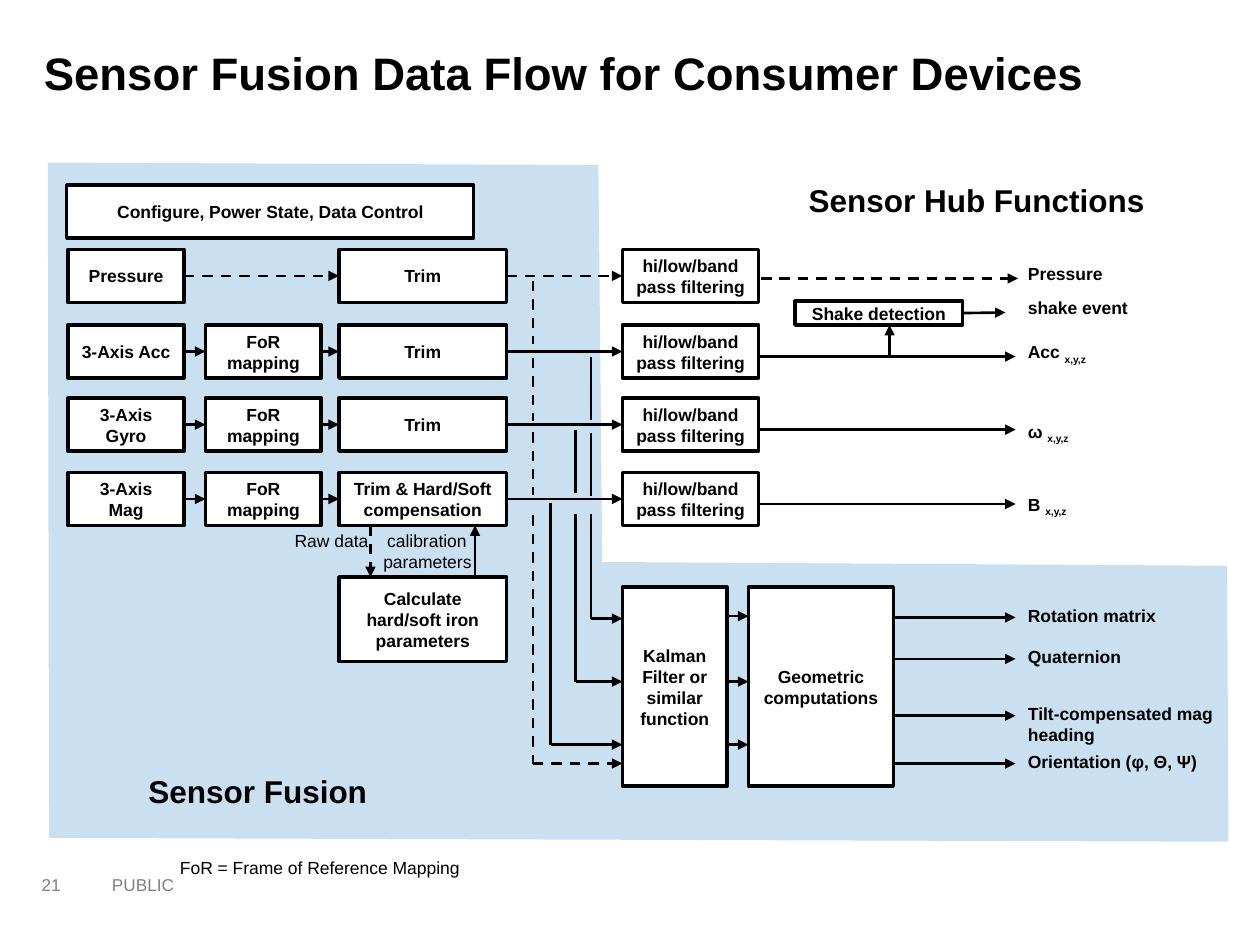
"""Build the sensor fusion data flow slide."""
import pptx
import pptx.dml.color
import pptx.enum.dml
import pptx.enum.shapes
import pptx.enum.text
import pptx.oxml.ns
import pptx.oxml.xmlchemy
import pptx.util
from pptx.util import Inches

COLORS = {"ink": "000000", "paper": "FFFFFF", "region": "CAE0F1", "footer": "808080"}
FONT = "Arial"
ROW_TOPS = [1.98, 2.58, 3.16, 3.75]
BOX_HEIGHT = 0.42
COLUMNS = {"sensor": (0.54, 0.92), "mapping": (1.63, 0.92),
           "trim": (2.69, 1.33), "filter": (4.94, 1.08)}
SENSORS = ["Pressure", "3-Axis Acc", "3-Axis Gyro", "3-Axis Mag"]
TRIMS = ["Trim", "Trim", "Trim", "Trim & Hard/Soft compensation"]
RIGHT, LEFT = 3, 1


def color(name):
    return pptx.dml.color.RGBColor.from_string(COLORS[name])


def style_span(span, size, bold, ink="ink"):
    span.font.name = FONT
    span.font.size = pptx.util.Pt(size)
    span.font.bold = bold
    span.font.color.rgb = color(ink)


def add_region(page, points):
    start, *others = [(Inches(x), Inches(y)) for x, y in points]
    builder = page.shapes.build_freeform(*start)
    builder.add_line_segments(others, close=True)
    region = builder.convert_to_shape()
    region.shadow.inherit = False
    region.fill.solid()
    region.fill.fore_color.rgb = color("region")
    region.line.fill.background()


def add_box(page, text, left, top, width, height=BOX_HEIGHT):
    box = page.shapes.add_shape(pptx.enum.shapes.MSO_SHAPE.RECTANGLE, Inches(left),
                                Inches(top), Inches(width), Inches(height))
    box.shadow.inherit = False
    box.fill.solid()
    box.fill.fore_color.rgb = color("paper")
    box.line.color.rgb = color("ink")
    box.line.width = pptx.util.Pt(2)
    frame = box.text_frame
    frame.text = text
    frame.word_wrap = True
    frame.vertical_anchor = pptx.enum.text.MSO_ANCHOR.MIDDLE
    paragraph = frame.paragraphs[0]
    paragraph.alignment = pptx.enum.text.PP_ALIGN.CENTER
    style_span(paragraph.runs[0], 10, True)
    return box


def add_label(page, text, left, top, width, height=0.27, size=10, bold=True,
              ink="ink", wrap=False, align=pptx.enum.text.PP_ALIGN.LEFT, subscript=""):
    label = page.shapes.add_textbox(Inches(left), Inches(top), Inches(width), Inches(height))
    frame = label.text_frame
    frame.text = text
    frame.word_wrap = wrap
    if subscript:
        span = frame.paragraphs[0].add_run()
        span.text = subscript
        span.font._element.set("baseline", "-25000")
    for paragraph in frame.paragraphs:
        paragraph.alignment = align
        for span in paragraph.runs:
            style_span(span, size, bold, ink)
    return label


def add_line(page, start, end, arrow=True, dashed=False):
    points = [Inches(value) for value in (*start, *end)]
    line = page.shapes.add_connector(pptx.enum.shapes.MSO_CONNECTOR.STRAIGHT, *points)
    line.line.color.rgb = color("ink")
    line.line.width = pptx.util.Pt(1.5)
    if dashed:
        line.line.dash_style = pptx.enum.dml.MSO_LINE.DASH
    properties = line._element.spPr
    if arrow:
        head = pptx.oxml.xmlchemy.OxmlElement("a:tailEnd")
        head.set("type", "triangle")
        properties.find(pptx.oxml.ns.qn("a:ln")).append(head)
    properties.append(pptx.oxml.xmlchemy.OxmlElement("a:effectLst"))
    return line


def join(page, source, target, dashed=False):
    line = add_line(page, (0, 0), (1, 1), dashed=dashed)
    line.begin_connect(source, RIGHT)
    line.end_connect(target, LEFT)


def add_sensor_rows(page):
    for index, top in enumerate(ROW_TOPS):
        texts = {"sensor": SENSORS[index], "mapping": "FoR mapping",
                 "trim": TRIMS[index], "filter": "hi/low/band pass filtering"}
        if index == 0:
            del texts["mapping"]
        boxes = [add_box(page, text, COLUMNS[name][0], top, COLUMNS[name][1])
                 for name, text in texts.items()]
        for source, target in zip(boxes, boxes[1:]):
            join(page, source, target, dashed=index == 0)


def add_calibration(page):
    add_box(page, "Calculate hard/soft iron parameters", 2.69, 4.58, 1.33, 0.67)
    add_line(page, (3.77, 4.58), (3.77, 4.17))
    add_line(page, (2.94, 4.17), (2.94, 4.58), dashed=True)
    add_label(page, "Raw data", 2.24, 4.16, 0.79, bold=False)
    add_label(page, "calibration \nparameters", 2.93, 4.16, 0.91, 0.44, bold=False,
              align=pptx.enum.text.PP_ALIGN.RIGHT)


def add_fusion(page):
    add_box(page, "Kalman Filter or similar function", 4.94, 4.66, 0.83, 1.58)
    add_box(page, "Geometric computations", 5.94, 4.66, 1.15, 1.58)
    for y in (4.89, 5.41, 5.91):
        add_line(page, (5.77, y), (5.94, y))
    drops = [
        (4.69, [(2.83, 3.33), (3.44, 3.94), (4.08, 4.91)], False),
        (4.57, [(3.41, 3.91), (4.08, 5.41)], False),
        (4.37, [(3.99, 5.91)], False),
        (4.23, [(2.23, 2.73), (2.84, 3.34), (3.43, 3.93), (4.09, 6.06)], True),
    ]
    for x, pieces, dashed in drops:
        for top, bottom in pieces:
            add_line(page, (x, top), (x, bottom), arrow=False, dashed=dashed)
        add_line(page, (x, bottom), (4.94, bottom), dashed=dashed)


def add_outputs(page):
    shake = add_box(page, "Shake detection", 6.31, 2.39, 1.33, 0.19)
    add_line(page, (7.64, 2.48), (7.98, 2.48)).begin_connect(shake, RIGHT)
    add_line(page, (7.06, 2.82), (7.06, 2.58))
    add_line(page, (6.04, 2.21), (8.08, 2.21), dashed=True)
    for y in (2.83, 3.41, 4):
        add_line(page, (6.02, y), (8.06, y))
    for y in (4.9, 5.23, 5.68, 6.06):
        add_line(page, (7.09, y), (8.06, y))
    for text, top, width in [("Pressure", 2.04, 0.8), ("shake event", 2.31, 1),
                             ("Rotation matrix", 4.75, 1.23), ("Quaternion", 5.08, 0.95),
                             ("Orientation (φ, Θ, Ψ)", 5.91, 1.56)]:
        add_label(page, text, 8.06, top, width)
    for text, top, width in [("Acc ", 2.66, 0.7), ("ω ", 3.29, 0.56), ("B ", 3.87, 0.55)]:
        add_label(page, text, 8.06, top, width, subscript="x,y,z")
    add_label(page, "Tilt-compensated mag heading", 8.06, 5.53, 1.89, 0.44, wrap=True)


def add_footer(page):
    number = add_label(page, "21", 0.27, 6.87, 0.49, 0.3, 9.8, False, "footer", wrap=True)
    frame = number.text_frame
    frame.vertical_anchor = pptx.enum.text.MSO_ANCHOR.MIDDLE
    frame.margin_left = frame.margin_right = Inches(0.06)
    frame.margin_top = frame.margin_bottom = Inches(0.03)
    add_label(page, "PUBLIC", 0.79, 6.89, 3.84, 0.34, 9.8, False, "footer", wrap=True)
    add_label(page, "FoR = Frame of Reference Mapping", 1.33, 6.75, 2.53, bold=False)


def main():
    deck = pptx.Presentation()
    deck.slide_width, deck.slide_height = Inches(10), Inches(7.5)
    page = deck.slides.add_slide(deck.slide_layouts[6])
    add_region(page, [(0.38, 1.29), (0.39, 6.65), (9.75, 6.68), (9.74, 4.49),
                      (4.78, 4.46), (4.75, 1.31)])
    add_label(page, "Sensor Fusion Data Flow for Consumer Devices",
              0.25, 0.31, 9.57, 0.72, size=26, wrap=True)
    add_box(page, "Configure, Power State, Data Control", 0.53, 1.47, 3.23)
    add_sensor_rows(page)
    add_calibration(page)
    add_fusion(page)
    add_outputs(page)
    add_label(page, "Sensor Fusion", 1.08, 6.08, 1.96, 0.4, size=18)
    add_label(page, "Sensor Hub Functions", 6.32, 1.39, 2.96, 0.4, size=18, wrap=True)
    add_footer(page)
    deck.save("out.pptx")


if __name__ == "__main__":
    main()
